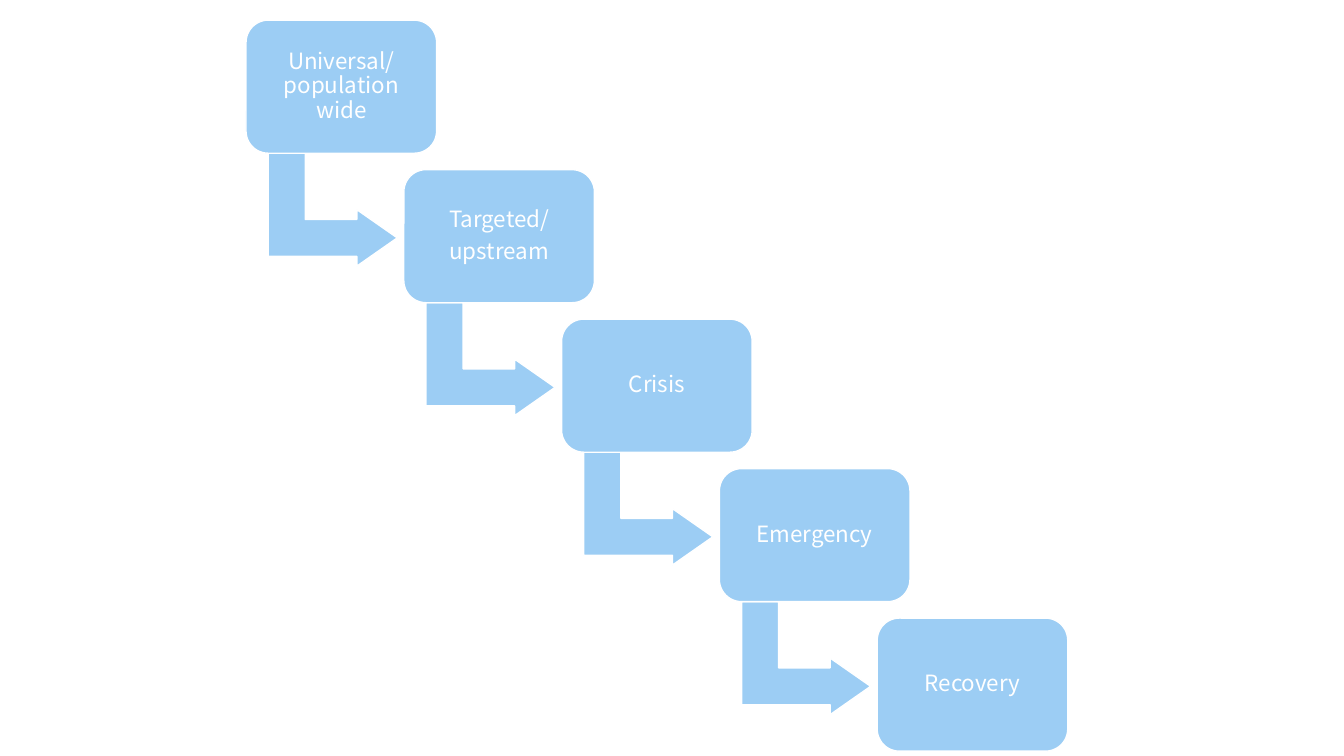
from pptx import Presentation
from pptx.dml.color import RGBColor
from pptx.enum.shapes import MSO_SHAPE
from pptx.enum.text import MSO_ANCHOR, PP_ALIGN
from pptx.util import Inches, Pt

STAGES = ["Universal/ population wide", "Targeted/\nupstream", "Crisis", "Emergency", "Recovery"]
LEFT, TOP = 2.44, 0.2
STEP_X, STEP_Y = 1.565, 1.483
BLUE, WHITE = "9CCDF4", "FFFFFF"


def color(value):
    return RGBColor.from_string(value)


def add_block(slide, kind, left, top, width, height, adjustments):
    shape = slide.shapes.add_shape(kind, Inches(left), Inches(top), Inches(width), Inches(height))
    for index, value in enumerate(adjustments):
        shape.adjustments[index] = value
    shape.shadow.inherit = False
    shape.fill.solid()
    shape.fill.fore_color.rgb = color(BLUE)
    shape.line.color.rgb = color(WHITE)
    shape.line.width = Pt(1)
    return shape


presentation = Presentation()
presentation.slide_width = Inches(13.33)
presentation.slide_height = Inches(7.5)
slide = presentation.slides.add_slide(presentation.slide_layouts[6])

frame_format = {
    "word_wrap": True,
    "vertical_anchor": MSO_ANCHOR.MIDDLE,
    "margin_left": Inches(0.07),
    "margin_right": Inches(0.07),
    "margin_top": Inches(0.07),
    "margin_bottom": Inches(0.07),
}
paragraph_format = {"alignment": PP_ALIGN.CENTER, "line_spacing": 0.9, "space_after": Pt(5.6)}
font_format = {"name": "Noto Sans CJK JP", "size": Pt(16)}

for number, stage in enumerate(STAGES):
    left = LEFT + number * STEP_X
    top = TOP + number * STEP_Y

    if number < len(STAGES) - 1:
        arrow = add_block(slide, MSO_SHAPE.BENT_UP_ARROW, left + 0.3, top + 1.24, 1.12, 1.28,
                          [0.328, 0.25, 0.358])
        arrow.rotation = 90

    box = add_block(slide, MSO_SHAPE.ROUNDED_RECTANGLE, left, top, 1.89, 1.32, [0.167])
    frame = box.text_frame
    for name, value in frame_format.items():
        setattr(frame, name, value)
    frame.text = stage
    for paragraph in frame.paragraphs:
        for name, value in paragraph_format.items():
            setattr(paragraph, name, value)
        font = paragraph.runs[0].font
        for name, value in font_format.items():
            setattr(font, name, value)
        font.color.rgb = color(WHITE)

presentation.save("out.pptx")
